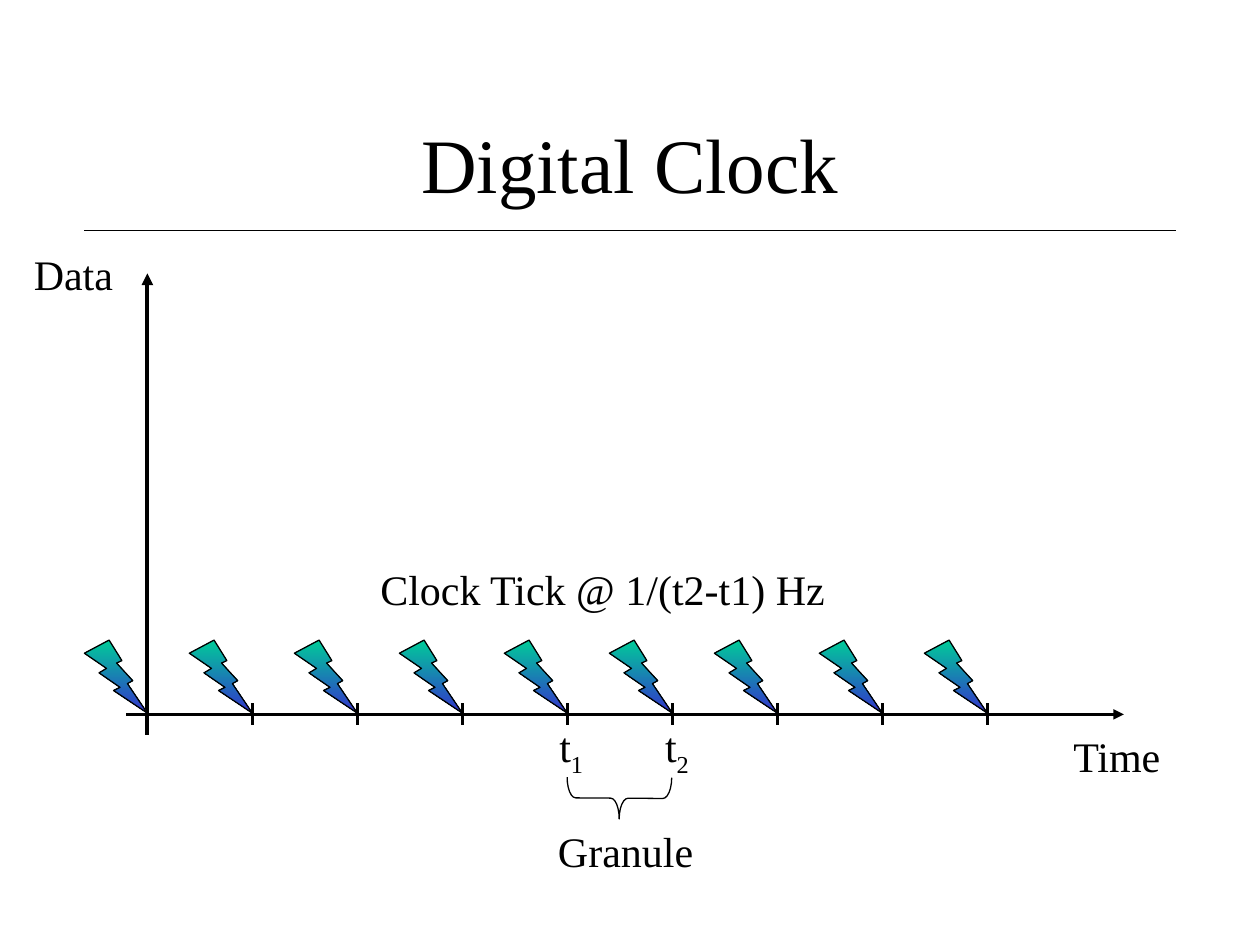
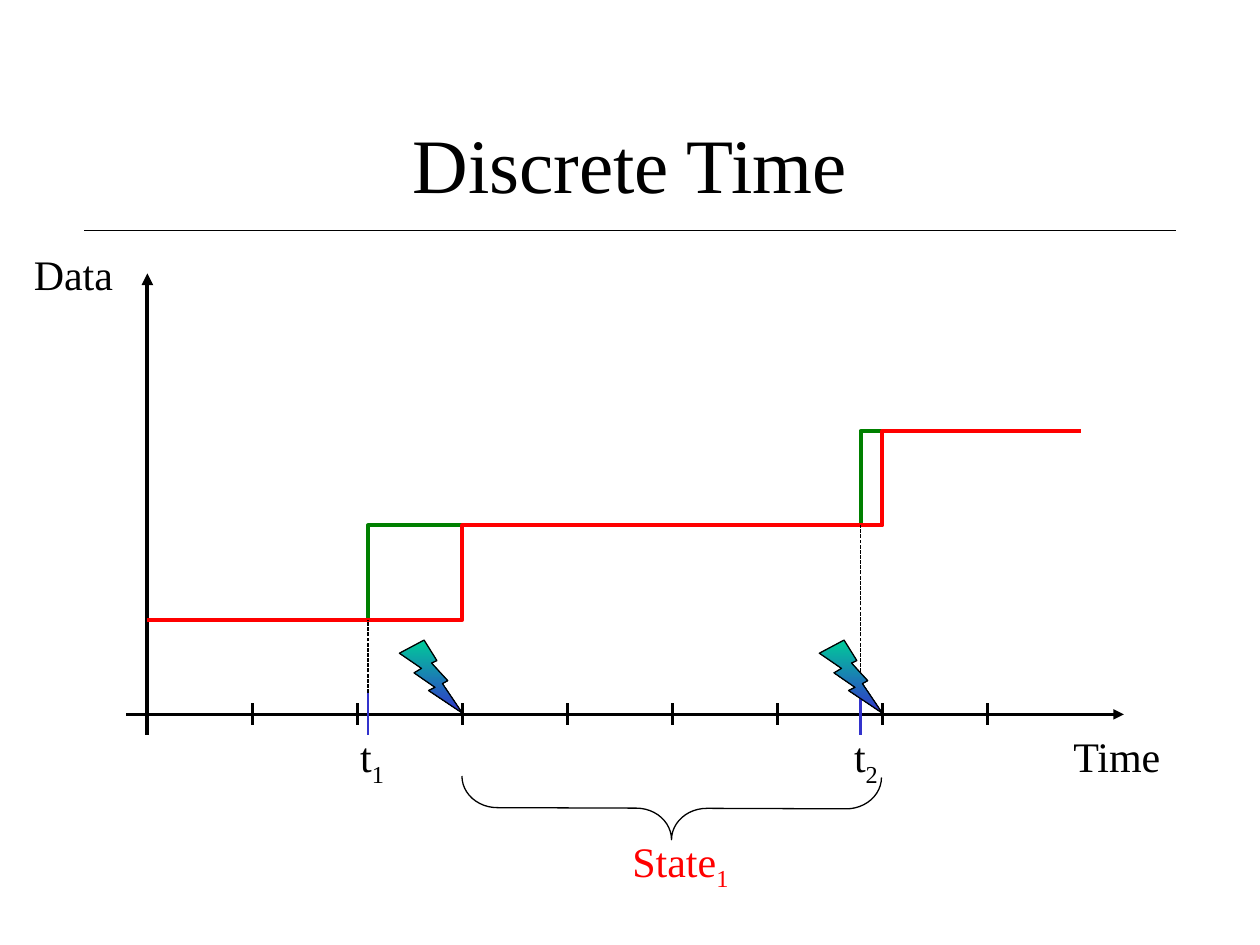
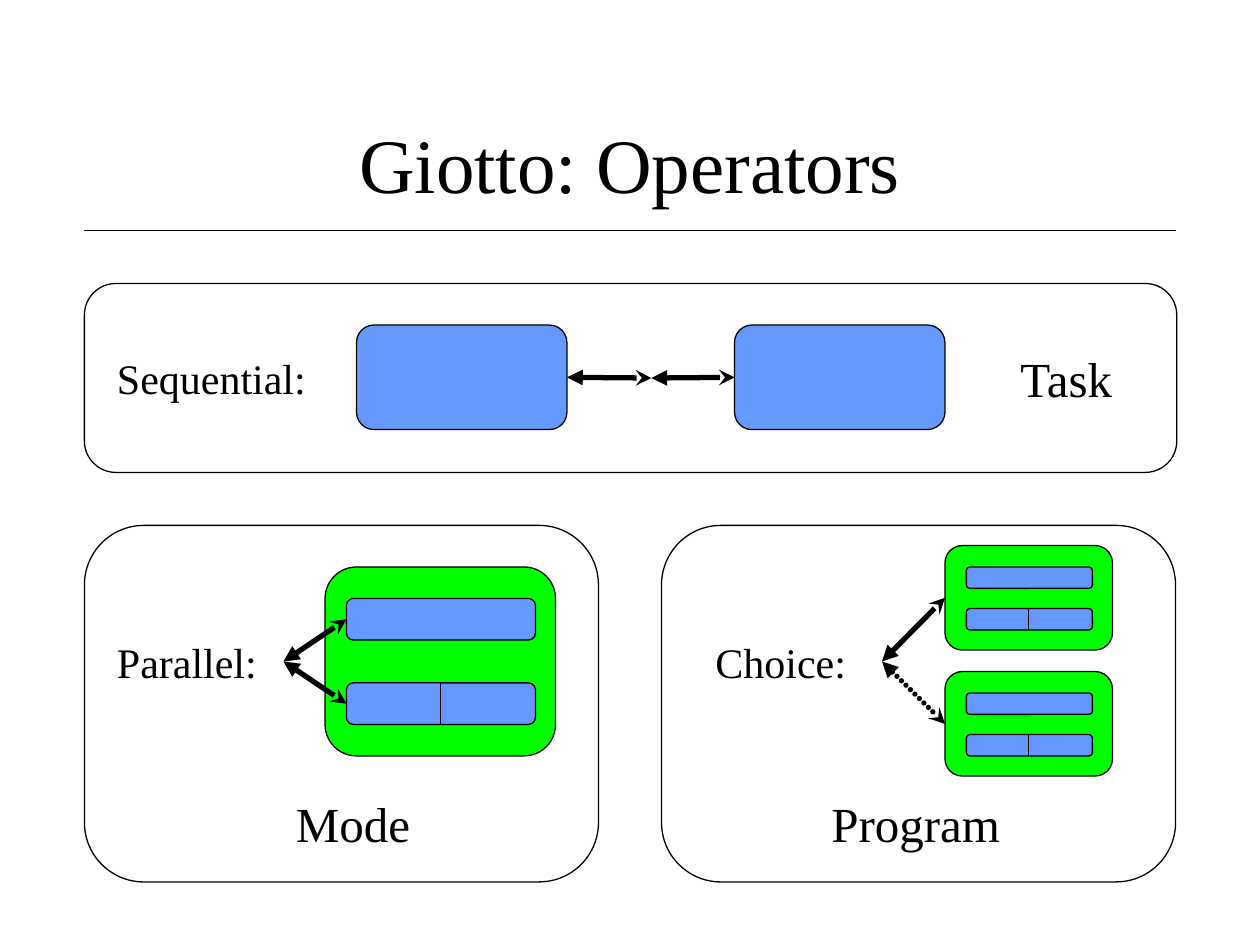
from dataclasses import dataclass
from typing import Any, Optional

from lxml import etree
from pptx import Presentation
from pptx import util as u
from pptx.dml.color import RGBColor
from pptx.enum import dml, shapes, text
from pptx.oxml.ns import qn

COLORS = {
    "ink": "000000", "paper": "FFFFFF", "mint": "00CC99", "indigo": "3333CC",
    "signal": "008000", "state": "FF0000", "mode": "00FF00", "task": "6699FF",
}
FONT = "Times New Roman"
TITLE_FONT = {"name": FONT, "size": u.Pt(44), "bold": False}
TITLE_PLACE = {
    "left": u.Inches(0.75), "top": u.Inches(0.67),
    "width": u.Inches(8.5), "height": u.Inches(1.25),
}
LABEL_FRAME = {"word_wrap": False, "auto_size": text.MSO_AUTO_SIZE.SHAPE_TO_FIT_TEXT}
AXIS_Y = 5.67
ORIGIN_X = 1.17
TICK_GAP = 5 / 6
TICKS = [ORIGIN_X + TICK_GAP * step for step in range(9)]


@dataclass(frozen=True)
class Label:
    words: str
    left: float
    top: float
    width: float
    subscript: str = ""
    size: int = 24
    color: str = "ink"


@dataclass(frozen=True)
class Stroke:
    color: str = "ink"
    width: float = 0.75
    dash: Optional[Any] = None
    beaded: bool = False
    head: str = ""
    tail: str = ""


@dataclass(frozen=True)
class Box:
    left: float
    top: float
    width: float
    height: float
    fill: str = ""


@dataclass(frozen=True)
class Mode:
    frame: Box
    bar_height: float
    bar_offsets: tuple[float, float]


THIN = Stroke()
TICK = Stroke(width=1.5)
EVENT = Stroke(color="indigo", width=1.5)
DROP = Stroke(dash=dml.MSO_LINE.SQUARE_DOT)
TIME_AXIS = Stroke(width=2, tail="triangle")
DATA_AXIS = Stroke(width=2.25, tail="triangle")
FLOW = Stroke(width=3, head="triangle", tail="stealth")
ALTERNATIVE = Stroke(width=3, beaded=True, head="triangle", tail="stealth")


def rgb(name: str) -> RGBColor:
    return RGBColor.from_string(COLORS[name])


def apply(target: Any, values: dict[str, Any]) -> None:
    for key, value in values.items():
        setattr(target, key, value)


def style_line(part: Any, stroke: Stroke) -> None:
    part.line.color.rgb = rgb(stroke.color)
    part.line.width = u.Pt(stroke.width)
    if stroke.dash is not None:
        part.line.dash_style = stroke.dash
    outline = part.element.spPr.find(qn("a:ln"))
    if stroke.beaded:
        outline.set("cap", "rnd")
        beads = etree.SubElement(outline, qn("a:custDash"))
        etree.SubElement(beads, qn("a:ds"), d="100000", sp="20000")
    for tag, arrow in (("a:headEnd", stroke.head), ("a:tailEnd", stroke.tail)):
        if arrow:
            etree.SubElement(outline, qn(tag), type=arrow)


def draw_line(slide: Any, start: tuple[float, float], end: tuple[float, float],
              stroke: Stroke = THIN) -> Any:
    line = slide.shapes.add_connector(
        shapes.MSO_CONNECTOR.STRAIGHT, *map(u.Inches, (*start, *end)))
    style_line(line, stroke)
    etree.SubElement(line.element.spPr, qn("a:effectLst"))
    return line


def draw_shape(slide: Any, preset: Any, box: Box) -> Any:
    part = slide.shapes.add_shape(
        preset, *map(u.Inches, (box.left, box.top, box.width, box.height)))
    part.shadow.inherit = False
    if box.fill:
        part.fill.solid()
        part.fill.fore_color.rgb = rgb(box.fill)
    else:
        part.fill.background()
    style_line(part, THIN)
    return part


def draw_rounded(slide: Any, box: Box) -> Any:
    return draw_shape(slide, shapes.MSO_SHAPE.ROUNDED_RECTANGLE, box)


def draw_label(slide: Any, label: Label) -> None:
    height = 0.56 if label.subscript else label.size / 48
    frame = slide.shapes.add_textbox(
        *map(u.Inches, (label.left, label.top, label.width, height))).text_frame
    apply(frame, LABEL_FRAME)
    paragraph = frame.paragraphs[0]
    for words in filter(None, (label.words, label.subscript)):
        run = paragraph.add_run()
        run.text = words
        apply(run.font, {"name": FONT, "size": u.Pt(label.size)})
        run.font.color.rgb = rgb(label.color)
    if label.subscript:
        run.font._element.set("baseline", "-25000")


def draw_labels(slide: Any, labels: list[Label]) -> None:
    for label in labels:
        draw_label(slide, label)


def draw_bolt(slide: Any, tick_x: float) -> None:
    bolt = draw_shape(slide, shapes.MSO_SHAPE.LIGHTNING_BOLT,
                      Box(tick_x - 0.5, 5.08, 0.5, 0.58))
    bolt.fill.gradient()
    bolt.fill.gradient_angle = 270
    for stop, color in zip(bolt.fill.gradient_stops, ("mint", "indigo")):
        stop.color.rgb = rgb(color)


def draw_brace(slide: Any, box: Box, curl: float, rotation: float) -> None:
    brace = draw_shape(slide, shapes.MSO_SHAPE.RIGHT_BRACE, box)
    brace.rotation = rotation
    brace.adjustments[0] = curl


def draw_steps(slide: Any, rises: tuple[float, float], color: str) -> None:
    first, second = rises
    low, middle, high = 4.92, 4.17, 3.42
    corners = [(first, low), (first, middle), (second, middle), (second, high), (8.58, high)]
    builder = slide.shapes.build_freeform(u.Inches(ORIGIN_X), u.Inches(low))
    builder.add_line_segments([(u.Inches(x), u.Inches(y)) for x, y in corners], close=False)
    steps = builder.convert_to_shape()
    steps.shadow.inherit = False
    steps.fill.background()
    style_line(steps, Stroke(color=color, width=2.25))


def draw_axes(slide: Any) -> None:
    draw_line(slide, (1, AXIS_Y), (8.92, AXIS_Y), TIME_AXIS)
    draw_line(slide, (ORIGIN_X, 5.83), (ORIGIN_X, 2.17), DATA_AXIS)
    draw_labels(slide, [Label("Time", 8.42, 5.75, 0.9), Label("Data", 0.17, 1.92, 0.83)])
    for x in TICKS:
        draw_line(slide, (x, 5.58), (x, 5.75), TICK)


def draw_mode(slide: Any, mode: Mode) -> tuple[Any, list[Any]]:
    box = mode.frame
    frame = draw_rounded(slide, box)
    bars = [
        draw_rounded(slide, Box(box.left + 0.17, box.top + offset,
                                box.width - 0.33, mode.bar_height, "task"))
        for offset in mode.bar_offsets
    ]
    middle = box.left + box.width / 2
    split_top = box.top + mode.bar_offsets[1]
    draw_line(slide, (middle, split_top), (middle, split_top + mode.bar_height))
    return frame, bars


def add_slide(deck: Any, heading: str) -> Any:
    slide = deck.slides.add_slide(deck.slide_layouts[5])
    slide.background.fill.solid()
    slide.background.fill.fore_color.rgb = rgb("paper")
    title = slide.shapes.title
    apply(title, TITLE_PLACE)
    title.text_frame.text = heading
    apply(title.text_frame, {"vertical_anchor": text.MSO_ANCHOR.MIDDLE})
    paragraph = title.text_frame.paragraphs[0]
    paragraph.alignment = text.PP_ALIGN.CENTER
    apply(paragraph.runs[0].font, TITLE_FONT)
    paragraph.runs[0].font.color.rgb = rgb("ink")
    draw_line(slide, (0.67, 1.83), (9.33, 1.83))
    return slide


def build_digital_clock(deck: Any) -> None:
    slide = add_slide(deck, "Digital Clock")
    draw_axes(slide)
    draw_brace(slide, Box(4.75, 5.92, 0.33, 0.83), 0.21, 90.4)
    draw_labels(slide, [
        Label("Granule", 4.33, 6.5, 1.28),
        Label("t", 4.34, 5.67, 0.39, "1"),
        Label("t", 5.18, 5.67, 0.39, "2"),
        Label("Clock Tick @ 1/(t2-t1) Hz", 2.92, 4.42, 3.74),
    ])
    for x in TICKS:
        draw_bolt(slide, x)


def build_discrete_time(deck: Any) -> None:
    slide = add_slide(deck, "Discrete Time")
    draw_axes(slide)
    sampled = (TICKS[3], TICKS[7])
    events = (2.92, 6.83)
    draw_bolt(slide, sampled[0])
    for x in events:
        draw_line(slide, (x, 5.5), (x, 5.83), EVENT)
    draw_labels(slide, [
        Label("t", 2.76, 5.75, 0.39, "1"),
        Label("t", 6.68, 5.75, 0.39, "2"),
        Label("State", 4.92, 6.58, 0.97, "1", color="state"),
    ])
    draw_steps(slide, events, "signal")
    draw_steps(slide, sampled, "state")
    draw_brace(slide, Box(5.08, 4.75, 0.5, 3.33), 0.56, 90.2)
    for x, level in zip(events, (4.92, 4.17)):
        draw_line(slide, (x, 5.5), (x, level), DROP)
    draw_bolt(slide, sampled[1])


def build_operators(deck: Any) -> None:
    slide = add_slide(deck, "Giotto: Operators")
    for panel in (Box(0.67, 2.25, 8.67, 1.5), Box(0.67, 4.17, 4.08, 2.83),
                  Box(5.25, 4.17, 4.08, 2.83)):
        draw_rounded(slide, panel)

    first_task, second_task = [
        draw_rounded(slide, Box(left, 2.58, 1.67, 0.83, "task")) for left in (2.83, 5.83)]
    meeting = (5.17, 3)
    draw_line(slide, (4.5, 3), meeting, FLOW).begin_connect(first_task, 3)
    draw_line(slide, meeting, (5.83, 3), FLOW).end_connect(second_task, 1)

    _, parallel_tasks = draw_mode(
        slide, Mode(Box(2.58, 4.5, 1.83, 1.5, "mode"), 0.33, (0.25, 0.92)))
    for task, y in zip(parallel_tasks, (4.92, 5.58)):
        draw_line(slide, (2.25, 5.25), (2.75, y), FLOW).end_connect(task, 1)

    for top, stroke in ((4.33, FLOW), (5.33, ALTERNATIVE)):
        choice, _ = draw_mode(
            slide, Mode(Box(7.5, top, 1.33, 0.83, "mode"), 0.17, (0.17, 0.5)))
        draw_line(slide, (7, 5.25), (7.5, top + 0.42), stroke).end_connect(choice, 1)

    draw_labels(slide, [
        Label("Sequential:", 0.83, 2.75, 1.71),
        Label("Parallel:", 0.83, 5, 1.32),
        Label("Choice:", 5.58, 5, 1.25),
        Label("Task", 8, 2.72, 0.96, size=28),
        Label("Mode", 2.25, 6.25, 1.12, size=28),
        Label("Program", 6.5, 6.25, 1.55, size=28),
    ])


def main() -> None:
    deck = Presentation()
    apply(deck, {"slide_width": u.Inches(10), "slide_height": u.Inches(7.5)})
    for build in (build_digital_clock, build_discrete_time, build_operators):
        build(deck)
    deck.save("out.pptx")


if __name__ == "__main__":
    main()
